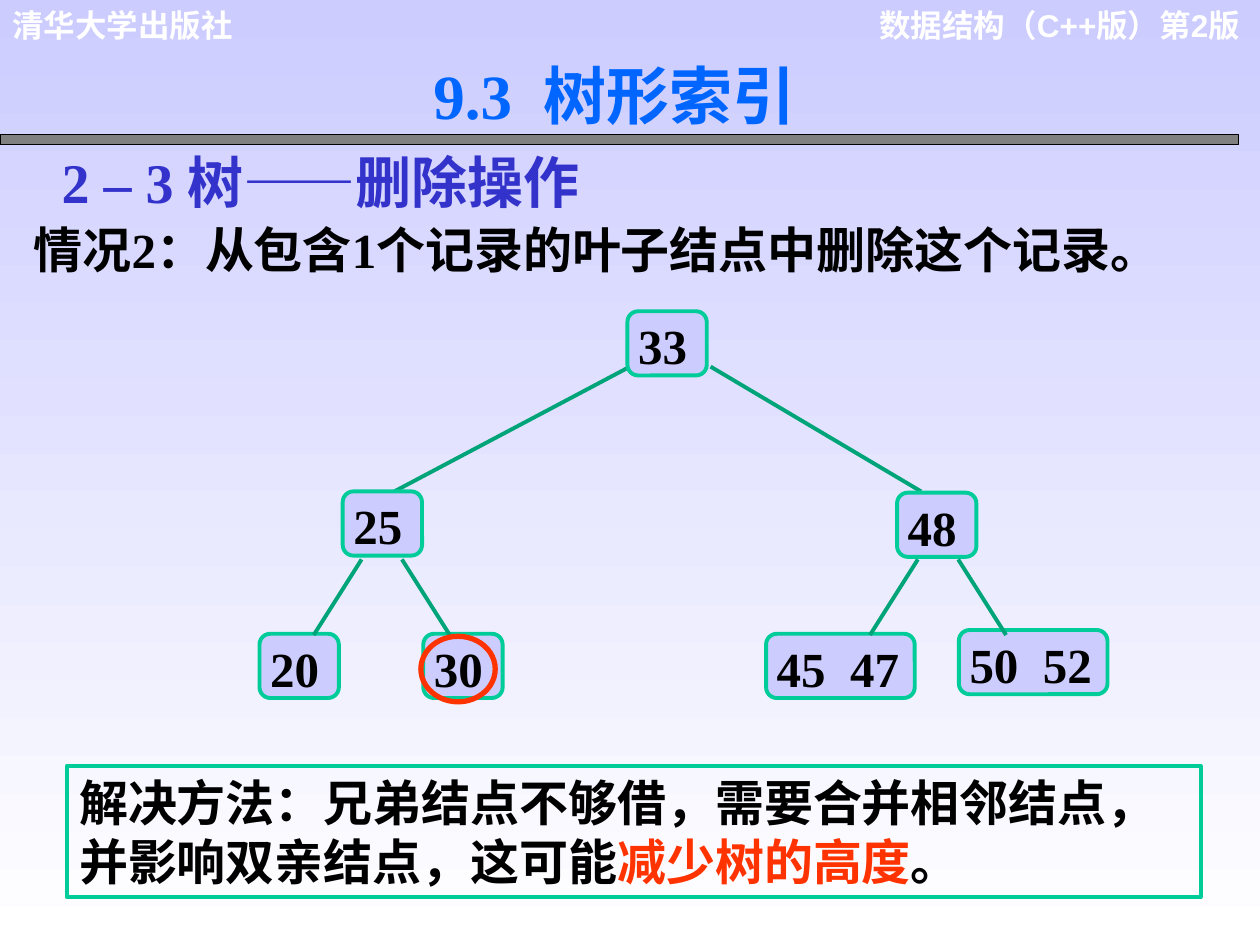
from lxml import etree
from pptx import Presentation
from pptx import util as u
from pptx.dml.color import RGBColor
from pptx.enum import shapes, text
from pptx.oxml import ns

WHITE = RGBColor(0xFF, 0xFF, 0xFF)
BLACK = RGBColor(0, 0, 0)
GREY = RGBColor(0x80, 0x80, 0x80)
LAVENDER = RGBColor(0xCC, 0xCC, 0xFF)
BLUE = RGBColor(0x00, 0x66, 0xFF)
INDIGO = RGBColor(0x33, 0x33, 0xCC)
MINT = RGBColor(0x00, 0xCC, 0x99)
GREEN = RGBColor(0x00, 0xA4, 0x79)
RED = RGBColor(0xFF, 0x33, 0x00)
SERIF, SANS = "Times New Roman", "Arial"

# The slide is a grid of 100 columns by 75 rows; a box is (column, row, columns, rows)
WIDTH, HEIGHT = u.Inches(10), u.Inches(7.5)
COLUMN, ROW = WIDTH / 100, HEIGHT / 75


def on_grid(*lengths):
    return [round(length * (ROW if i % 2 else COLUMN)) for i, length in enumerate(lengths)]


def write(shape, spans, size, font=SERIF, align=text.PP_ALIGN.LEFT,
          anchor=text.MSO_ANCHOR.TOP, insets=(1, 0.5, 1, 0.5), wrap=True):
    frame = shape.text_frame
    frame.word_wrap = wrap
    frame.auto_size = text.MSO_AUTO_SIZE.NONE
    frame.vertical_anchor = anchor
    (frame.margin_left, frame.margin_top,
     frame.margin_right, frame.margin_bottom) = on_grid(*insets)
    para = frame.paragraphs[0]
    para.alignment = align
    for words, colour in spans:
        span = para.add_run()
        span.text = words
        span.font.name, span.font.size, span.font.bold = font, u.Pt(size), True
        span.font.color.rgb = colour


def add_label(page, box, words, colour, size, **style):
    label = page.shapes.add_textbox(*on_grid(*box))
    write(label, [(words, colour)], size, **style)


def add_figure(page, kind, box, line, weight, fill=None):
    figure = page.shapes.add_shape(kind, *on_grid(*box))
    figure.shadow.inherit = False
    figure.line.color.rgb, figure.line.width = line, u.Pt(weight)
    if fill is None:
        figure.fill.background()
    else:
        figure.fill.solid()
        figure.fill.fore_color.rgb = fill
    return figure


def paint_background(page):
    fill = page.background.fill
    fill.gradient()
    fill.gradient_angle = 270
    for stop, colour in zip(fill.gradient_stops, (LAVENDER, WHITE)):
        stop.color.rgb = colour


def add_header(page, box):
    left, top, width, height = box
    add_label(page, (left + width - 32.3, top, 31.7, 7), "数据结构（C++版）第2版",
              WHITE, 18, font=SANS, align=text.PP_ALIGN.RIGHT)
    add_label(page, (left, top, 27.1, 4), "清华大学出版社", WHITE, 18, font=SANS)
    add_figure(page, shapes.MSO_SHAPE.RECTANGLE,
               (left, top + height - 0.8, 98.3, 0.8), BLACK, 0.75, GREY)


def add_title(page, box):
    title = page.shapes.title
    title.left, title.top, title.width, title.height = on_grid(*box)
    write(title, [("9.3  树形索引", BLUE)], 36)
    # Soft grey shadow behind the letters
    properties = title.text_frame.paragraphs[0].runs[0].font.fill._xPr
    effects = etree.SubElement(properties, ns.qn("a:effectLst"))
    properties.find(ns.qn("a:solidFill")).addnext(effects)
    shadow = etree.SubElement(effects, ns.qn("a:outerShdw"),
                              dist="17961", dir="2700000")
    etree.SubElement(shadow, ns.qn("a:srgbClr"), val="808080")


def add_node(page, left, top, keys):
    width = 6.3 if len(keys) == 2 else 11.8
    node = add_figure(page, shapes.MSO_SHAPE.ROUNDED_RECTANGLE,
                      (left, top, width, 5.1), MINT, 2.25, LAVENDER)
    node.adjustments[0] = 0.167
    write(node, [(keys, BLACK)], 28, align=text.PP_ALIGN.JUSTIFY,
          insets=(0.6, 0.1, 0.2, 0.1))


def add_edge(page, start, end):
    edge = page.shapes.add_connector(shapes.MSO_CONNECTOR.STRAIGHT,
                                     *on_grid(*start, *end))
    edge.line.color.rgb, edge.line.width = GREEN, u.Pt(2.25)
    etree.SubElement(edge._element.spPr, ns.qn("a:effectLst"))


def add_tree(page, box):
    left, top = box[:2]
    upper, lower = top + 14.3, top + 25.6
    # Edges from the root to its two children
    add_edge(page, (left + 29.4, top + 4.4), (left + 10.7, upper))
    add_edge(page, (left + 35.8, top + 4.4), (left + 52.5, upper))
    for column, row, keys in [(29.2, top, "33"),
                              (6.6, upper, "25"), (50.6, upper + 0.1, "48"),
                              (0, lower, "20"), (13, lower, "30"),
                              (40.2, lower, "45  47"), (55.5, lower - 0.3, "50  52")]:
        add_node(page, left + column, row, keys)
    # Each child spreads two mirrored edges to its leaves
    for middle in (9.7, 53.85):
        for side in (-1, 1):
            add_edge(page, (left + middle + side * 1.6, top + 19.7),
                     (left + middle + side * 5.4, top + 25.7))
    # Ring around the record to delete
    add_figure(page, shapes.MSO_SHAPE.OVAL,
               (left + 12.8, lower + 0.2, 5.9, 5.2), RED, 3)


def add_solution(page, box):
    panel = add_figure(page, shapes.MSO_SHAPE.RECTANGLE, box, MINT, 2.25)
    write(panel, [("解决方法：兄弟结点不够借，需要合并相邻结点，并影响双亲结点，这可能", BLACK),
                  ("减少树的高度", RED), ("。", BLACK)],
          28, anchor=text.MSO_ANCHOR.MIDDLE)


def main():
    deck = Presentation()
    deck.slide_width, deck.slide_height = WIDTH, HEIGHT
    page = deck.slides.add_slide(deck.slide_layouts[5])
    paint_background(page)
    add_header(page, (0, 0, 100, 11.5))
    add_title(page, (33.4, 4, 40.8, 7))
    add_label(page, (3.9, 11.2, 45.7, 6.4), "2 – 3 树——删除操作", INDIGO, 32)
    add_label(page, (1.7, 16.9, 95.9, 5.7), "情况2：从包含1个记录的叶子结点中删除这个记录。",
              BLACK, 28, anchor=text.MSO_ANCHOR.MIDDLE, wrap=False)
    add_tree(page, (20.6, 24.7, 67.3, 31))
    add_solution(page, (5.3, 60.8, 90, 10.4))
    deck.save("out.pptx")


if __name__ == "__main__":
    main()
